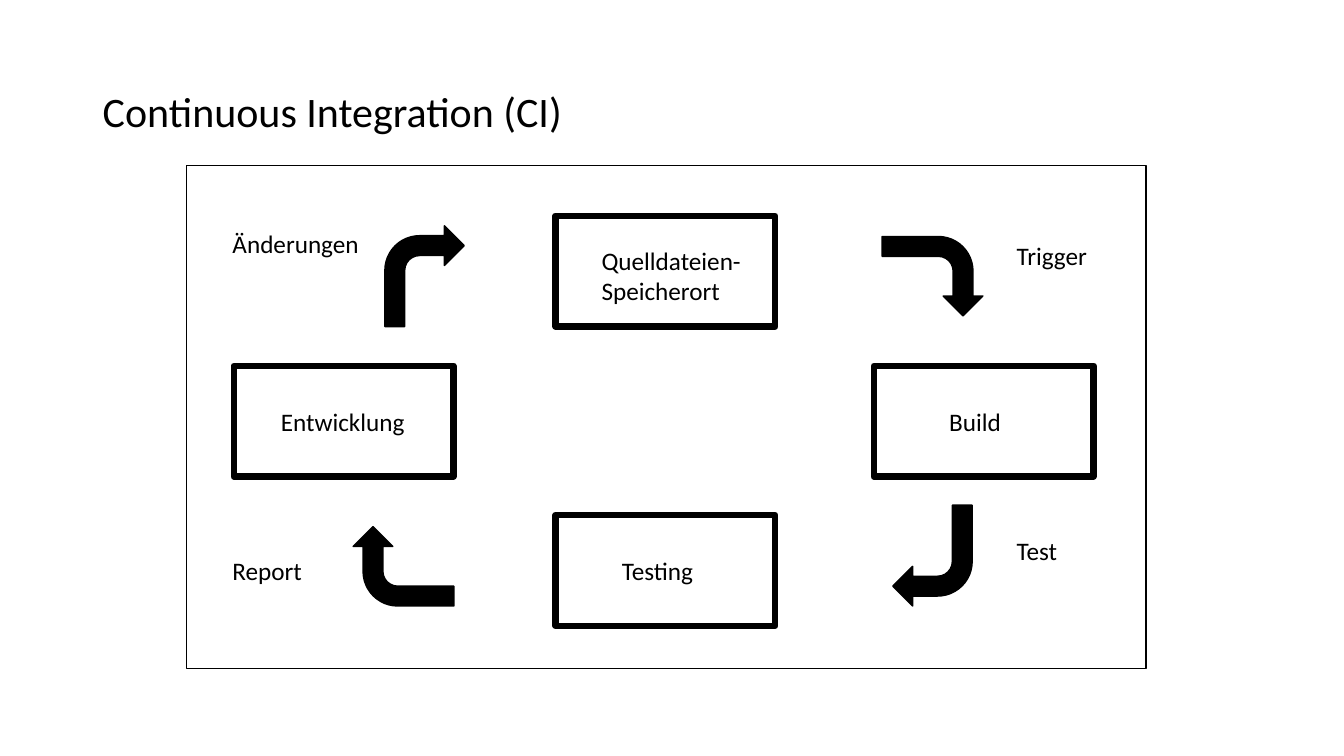
from dataclasses import dataclass

import pptx
import pptx.dml.color
import pptx.enum.shapes
import pptx.enum.text
import pptx.util

Cm = pptx.util.Cm
Pt = pptx.util.Pt
SHAPES = pptx.enum.shapes.MSO_SHAPE


@dataclass(frozen=True)
class Theme:
    font: str = "Calibri"
    ink: str = "000000"
    title_size: float = 30
    label_size: float = 18
    thin_line: float = 1
    thick_line: float = 4.5


class SlideBuilder:
    def __init__(self, slide, theme):
        self.slide = slide
        self.theme = theme
        self.ink = pptx.dml.color.RGBColor.from_string(theme.ink)

    def _shape(self, preset, box, line_width):
        shape = self.slide.shapes.add_shape(preset, *map(Cm, box))
        shape.shadow.inherit = False
        shape.line.color.rgb = self.ink
        shape.line.width = Pt(line_width)
        return shape

    def outline(self, box, line_width):
        self._shape(SHAPES.RECTANGLE, box, line_width).fill.background()

    def bent_arrow(self, box, rotation):
        arrow = self._shape(SHAPES.BENT_ARROW, box, self.theme.thin_line)
        arrow.fill.solid()
        arrow.fill.fore_color.rgb = self.ink
        arrow.rotation = rotation

    def _text(self, words, box, size):
        frame = self.slide.shapes.add_textbox(*map(Cm, box)).text_frame
        frame.word_wrap = True
        run = frame.paragraphs[0].add_run()
        run.text = words
        run.font.name = self.theme.font
        run.font.size = Pt(size)
        run.font.color.rgb = self.ink
        return frame

    def title(self, words, box):
        frame = self._text(words, box, self.theme.title_size)
        frame.vertical_anchor = pptx.enum.text.MSO_ANCHOR.MIDDLE
        frame.paragraphs[0].line_spacing = 0.9

    def label(self, words, box):
        frame = self._text(words, box, self.theme.label_size)
        frame.auto_size = pptx.enum.text.MSO_AUTO_SIZE.SHAPE_TO_FIT_TEXT


STATION_SIZE = (5.54, 2.79)
ARROW_SIZE = (2, 2.54)
LABEL_SIZE = (4.09, 1.02)

# Station name, corner of its outline, box of its label
STATIONS = [
    ("Quelldateien-Speicherort", (14, 5.44), (14.91, 6.05, 5.11, 1.8)),
    ("Build", (22.02, 9.22), (23.67, 10.11, *LABEL_SIZE)),
    ("Testing", (14, 12.98), (15.42, 13.87, *LABEL_SIZE)),
    ("Entwicklung", (5.89, 9.22), (6.83, 10.11, *LABEL_SIZE)),
]

# Transition name, corner of its arrow, corner of its label; clockwise
TRANSITIONS = [
    ("Änderungen", (9.7, 5.69), (5.61, 5.64)),
    ("Trigger", (22.5, 5.69), (25.37, 5.94)),
    ("Test", (22.5, 12.73), (25.37, 13.36)),
    ("Report", (9.17, 13), (5.61, 13.87)),
]


def main():
    presentation = pptx.Presentation()
    presentation.slide_width = Cm(33.87)
    presentation.slide_height = Cm(19.05)
    slide = presentation.slides.add_slide(presentation.slide_layouts[6])
    theme = Theme()
    builder = SlideBuilder(slide, theme)

    builder.title("Continuous Integration (CI)", (2.34, 1.02, 29.21, 3.68))
    for station, corner, label_box in STATIONS:
        builder.outline((*corner, *STATION_SIZE), theme.thick_line)
        builder.label(station, label_box)
    for step, (transition, arrow_corner, label_corner) in enumerate(TRANSITIONS):
        builder.bent_arrow((*arrow_corner, *ARROW_SIZE), 90 * step)
        builder.label(transition, (*label_corner, *LABEL_SIZE))
    builder.outline((4.7, 4.17, 24.18, 12.67), theme.thin_line)

    presentation.save("out.pptx")


if __name__ == "__main__":
    main()
